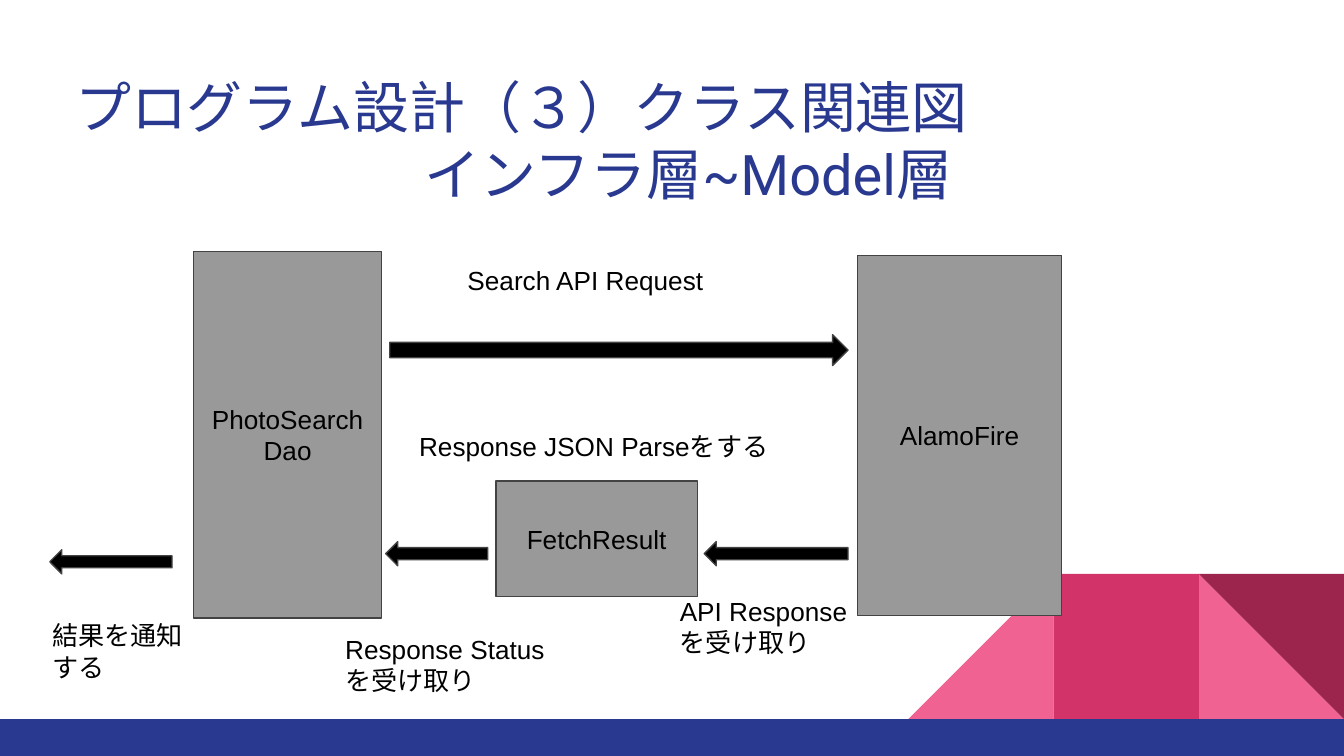
from pptx import Presentation
from pptx.dml.color import RGBColor
from pptx.enum import shapes, text
from pptx.util import Inches, Pt

HUES = {
    "navy": "2A3990", "pink": "F06292", "rose": "D23369", "wine": "9C254D",
    "gray": "999999", "edge": "434343", "black": "000000",
}
KIND = shapes.MSO_SHAPE
ALIGN = text.PP_ALIGN


def hue(name):
    return RGBColor.from_string(HUES[name])


def add_shape(slide, kind, box, fill, edge=None):
    shape = slide.shapes.add_shape(kind, *map(Inches, box))
    shape.shadow.inherit = False
    shape.fill.solid()
    shape.fill.fore_color.rgb = hue(fill)
    if edge:
        shape.line.color.rgb = hue(edge)
        shape.line.width = Pt(0.75)
    else:
        shape.line.fill.background()
    return shape


def write(shape, lines, aligns, size=14, font="Arial", color="black",
          anchor=text.MSO_ANCHOR.TOP):
    frame = shape.text_frame
    frame.word_wrap = True
    frame.vertical_anchor = anchor
    frame.margin_left = frame.margin_right = Inches(0.1)
    frame.margin_top = frame.margin_bottom = Inches(0.1)
    frame.text = "\n".join(lines)
    for para, align in zip(frame.paragraphs, aligns):
        para.alignment = align
        para.font.size = Pt(size)
        para.font.name = font
        para.font.color.rgb = hue(color)


def add_decor(slide, box):
    """Triangles and square at the right, above a full-width bar."""
    left, top, width, height = box
    side, bar = 1.08, 0.28
    base = top + height - bar
    tiles = [
        (1, KIND.RIGHT_TRIANGLE, "pink", False, 0),
        (3, KIND.RIGHT_TRIANGLE, "pink", True, 0),
        (2, KIND.RECTANGLE, "rose", False, 0),
        (1, KIND.RIGHT_TRIANGLE, "wine", False, 180),
    ]
    for step, kind, fill, flip, turn in tiles:
        place = (left + width - step * side, base - side, side, side)
        tile = add_shape(slide, kind, place, fill)
        tile.rotation = turn
        if flip:
            tile.element.spPr.xfrm.set("flipH", "1")
    add_shape(slide, KIND.RECTANGLE, (left, base, width, bar), "navy")


def add_title(slide, box):
    title = slide.shapes.add_textbox(*map(Inches, box))
    write(title, ["プログラム設計（３）クラス関連図", "インフラ層~Model層"],
          [ALIGN.LEFT, ALIGN.CENTER], 30, "Roboto", "navy")


def add_flow(slide, box):
    """Class boxes, arrows and captions, placed from the box's corner."""
    left, top = box[:2]

    def place(x, y, width, height):
        return left + x, top + y, width, height

    # Classes
    for name, spot in [
        ("PhotoSearchDao", (1.15, 0, 1.4, 2.73)),
        ("AlamoFire", (6.09, 0.03, 1.52, 2.68)),
        ("FetchResult", (3.4, 1.71, 1.5, 0.86)),
    ]:
        block = add_shape(slide, KIND.RECTANGLE, place(*spot), "gray", "edge")
        write(block, [name], [ALIGN.CENTER], anchor=text.MSO_ANCHOR.MIDDLE)

    # Arrows
    for kind, spot in [
        (KIND.RIGHT_ARROW, (2.61, 0.62, 3.41, 0.23)),
        (KIND.LEFT_ARROW, (4.95, 2.16, 1.07, 0.18)),
        (KIND.LEFT_ARROW, (2.58, 2.16, 0.76, 0.18)),
        (KIND.LEFT_ARROW, (0.08, 2.22, 0.91, 0.18)),
    ]:
        add_shape(slide, kind, place(*spot), "black", "edge")

    # Captions
    for words, spot in [
        ("Search API Request", (3.09, 0, 2.02, 0.38)),
        ("API Responseを受け取り", (4.67, 2.46, 1.63, 0.76)),
        ("Response JSON Parseをする", (2.73, 1.23, 3.03, 0.38)),
        ("Response Status を受け取り", (2.18, 2.74, 1.86, 0.53)),
        ("結果を通知する", (0, 2.64, 1.2, 0.53)),
    ]:
        note = slide.shapes.add_textbox(*map(Inches, place(*spot)))
        write(note, [words], [ALIGN.LEFT])


def main():
    deck = Presentation()
    deck.slide_width = Inches(10)
    deck.slide_height = deck.slide_width * 9 // 16
    slide = deck.slides.add_slide(deck.slide_layouts[6])
    add_decor(slide, (0, 0, 10, 5.63))
    add_title(slide, (0.46, 0.44, 9.32, 1.31))
    add_flow(slide, (0.29, 1.87, 7.61, 3.27))
    deck.save("out.pptx")


if __name__ == "__main__":
    main()
